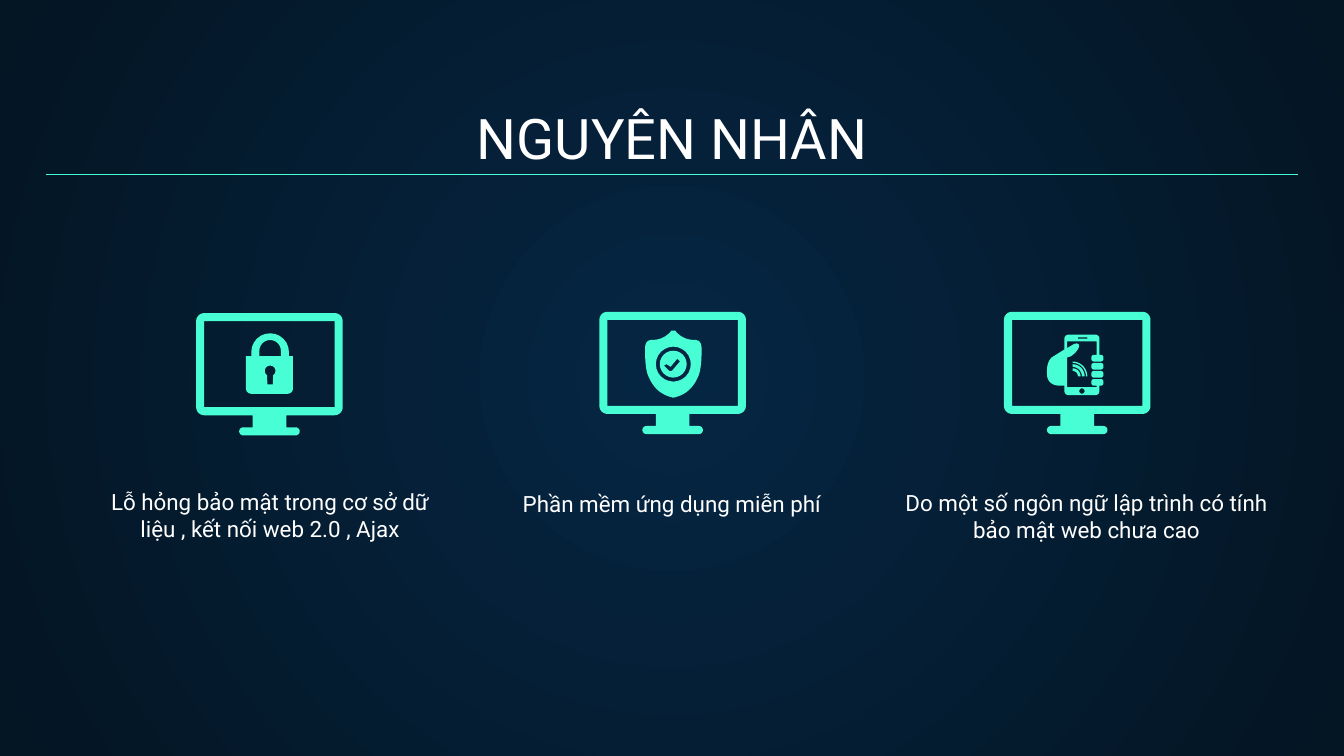
from math import cos, radians, sin

from pptx import Presentation
from pptx.dml.color import RGBColor
from pptx.enum.shapes import MSO_CONNECTOR
from pptx.enum.text import MSO_ANCHOR, MSO_AUTO_SIZE, PP_ALIGN
from pptx.oxml import parse_xml
from pptx.oxml.ns import nsdecls, qn
from pptx.util import Inches, Pt

MINT = "48FFD5"
WHITE = "FFFFFF"
FONT = "Roboto"
STEPS = 12


def colour(value):
    """Turn a hex string into a colour."""
    return RGBColor.from_string(value)


def arc(x, y, radius, start, end):
    """List points on an arc, with angles clockwise from the right."""
    angles = [radians(start + (end - start) * i / STEPS) for i in range(STEPS + 1)]
    return [(x + radius * cos(a), y + radius * sin(a)) for a in angles]


def circle(x, y, radius):
    """List the points of a full circle."""
    return arc(x, y, radius, 0, 180) + arc(x, y, radius, 180, 360)


def curve(*controls):
    """List points on a cubic curve through four control points."""
    points = []
    for i in range(STEPS + 1):
        t = i / STEPS
        weights = ((1 - t) ** 3, 3 * t * (1 - t) ** 2, 3 * t * t * (1 - t), t ** 3)
        points.append(tuple(sum(w * c[axis] for w, c in zip(weights, controls)) for axis in (0, 1)))
    return points


def rounded(left, top, right, bottom, radius):
    """List the points of a rectangle with round corners."""
    return (
        arc(left + radius, top + radius, radius, 180, 270)
        + arc(right - radius, top + radius, radius, 270, 360)
        + arc(right - radius, bottom - radius, radius, 0, 90)
        + arc(left + radius, bottom - radius, radius, 90, 180)
    )


def monitor():
    """Outline a screen on a stand."""
    body = (
        arc(0.06, 0.06, 0.06, 180, 270)
        + arc(1.03, 0.06, 0.06, 270, 360)
        + arc(1.03, 0.70, 0.06, 0, 90)
        + [(0.67, 0.76), (0.67, 0.85)]
        + arc(0.74, 0.88, 0.03, -90, 90)
        + arc(0.35, 0.88, 0.03, 90, 270)
        + [(0.42, 0.85), (0.42, 0.76)]
        + arc(0.06, 0.70, 0.06, 90, 180)
    )
    return [body, [(0.06, 0.06), (1.03, 0.06), (1.03, 0.70), (0.06, 0.70)]]


def padlock():
    """Outline a padlock with a keyhole."""
    body = (
        [(0.37, 0.32), (0.41, 0.32)]
        + arc(0.55, 0.29, 0.14, 180, 360)
        + [(0.69, 0.32), (0.72, 0.32)]
        + arc(0.68, 0.56, 0.04, 0, 90)
        + arc(0.41, 0.56, 0.04, 90, 180)
    )
    opening = arc(0.55, 0.28, 0.08, 180, 360) + [(0.63, 0.32), (0.47, 0.32)]
    keyhole = arc(0.55, 0.43, 0.04, 125, 415) + [(0.57, 0.53), (0.53, 0.53)]
    return [body, opening, keyhole]


def shield():
    """Outline a shield with a round opening."""
    right = (
        curve((0.55, 0.14), (0.56, 0.14), (0.57, 0.14), (0.57, 0.15))
        + curve((0.57, 0.15), (0.61, 0.19), (0.65, 0.21), (0.71, 0.21))
        + curve((0.71, 0.21), (0.74, 0.21), (0.76, 0.23), (0.76, 0.27))
        + curve((0.76, 0.28), (0.76, 0.33), (0.76, 0.41), (0.74, 0.47))
        + curve((0.74, 0.47), (0.70, 0.57), (0.64, 0.62), (0.55, 0.64))
    )
    left = [(1.1 - x, y) for x, y in reversed(right)]
    return [right + left, circle(0.55, 0.39, 0.13)]


def check_badge():
    """Outline a disc with a check mark cut out."""
    check = [(0.48, 0.40), (0.50, 0.39), (0.53, 0.41), (0.58, 0.35),
             (0.60, 0.37), (0.54, 0.44), (0.52, 0.44)]
    return [circle(0.55, 0.39, 0.1), check]


def phone_in_hand():
    """Outline a hand that holds a phone with signal waves."""
    body = (
        [(0.71, 0.32)]
        + arc(0.68, 0.20, 0.03, 0, -90)
        + arc(0.48, 0.20, 0.03, 270, 180)
        + [(0.45, 0.28)]
        + curve((0.37, 0.33), (0.35, 0.34), (0.32, 0.37), (0.32, 0.44))
        + curve((0.32, 0.46), (0.32, 0.53), (0.37, 0.55), (0.42, 0.55))
        + [(0.45, 0.55)]
        + arc(0.48, 0.59, 0.03, 180, 90)
        + arc(0.68, 0.59, 0.03, 90, 0)
        + [(0.71, 0.55), (0.69, 0.55), (0.69, 0.56), (0.47, 0.56), (0.47, 0.34)]
        + curve((0.50, 0.33), (0.58, 0.27), (0.57, 0.22), (0.52, 0.24))
        + [(0.47, 0.27), (0.47, 0.22), (0.69, 0.22), (0.69, 0.32)]
    )
    holes = [[(0.55, 0.19), (0.62, 0.19), (0.62, 0.20), (0.55, 0.20)], circle(0.58, 0.59, 0.02)]
    fingers = [rounded(0.65, top, 0.74, top + 0.05, 0.02) for top in (0.32, 0.38, 0.44, 0.50)]
    waves = [
        arc(0.51, 0.48, outer, -90, 0) + arc(0.51, 0.48, inner, 0, -90)
        for outer, inner in ((0.11, 0.10), (0.09, 0.07), (0.06, 0.04))
    ]
    return [body] + holes + fingers + waves


def add_outline(page, left, top, contours):
    """Draw contours as one mint shape, where inner contours are holes."""
    placed = [[(Inches(left + x), Inches(top + y)) for x, y in points] for points in contours]
    builder = page.shapes.build_freeform(*placed[0][0], scale=1.0)
    builder.add_line_segments(placed[0][1:], close=True)
    for points in placed[1:]:
        builder.move_to(*points[0])
        builder.add_line_segments(points[1:], close=True)
    shape = builder.convert_to_shape()
    shape.shadow.inherit = False
    shape.fill.solid()
    shape.fill.fore_color.rgb = colour(MINT)
    shape.line.fill.background()


def set_text(box, place, text, size):
    """Place a box and write centred white text at its bottom."""
    box.left, box.top, box.width, box.height = [Inches(value) for value in place]
    frame = box.text_frame
    frame.word_wrap = True
    frame.auto_size = MSO_AUTO_SIZE.NONE
    frame.vertical_anchor = MSO_ANCHOR.BOTTOM
    frame.margin_left = frame.margin_right = Inches(0.1)
    frame.margin_top = frame.margin_bottom = Inches(0.1)
    paragraph = frame.paragraphs[0]
    paragraph.text = text
    paragraph.alignment = PP_ALIGN.CENTER
    paragraph.font.name = FONT
    paragraph.font.size = Pt(size)
    paragraph.font.color.rgb = colour(WHITE)


def set_background(page, centre, edge):
    """Fill the page with a round gradient."""
    fill = page.background.fill
    fill.gradient()
    for stop, value in zip(fill.gradient_stops, (centre, edge)):
        stop.color.rgb = colour(value)
    gradient = page.element.find(".//" + qn("a:gradFill"))
    gradient.replace(gradient.find(qn("a:lin")), parse_xml(
        f'<a:path {nsdecls("a")} path="circle">'
        '<a:fillToRect l="50000" t="50000" r="50000" b="50000"/></a:path>'))


def add_rule(page, left, right, top):
    """Draw a thin mint line across the page."""
    rule = page.shapes.add_connector(
        MSO_CONNECTOR.STRAIGHT, Inches(left), Inches(top), Inches(right), Inches(top))
    rule.line.color.rgb = colour(MINT)
    rule.line.width = Pt(0.75)
    rule.element.spPr.append(parse_xml(f'<a:effectLst {nsdecls("a")}/>'))


def main():
    """Build the slide and save it."""
    deck = Presentation()
    deck.slide_width, deck.slide_height = Inches(10), Inches(10 * 9 / 16)
    page = deck.slides.add_slide(deck.slide_layouts[5])
    set_background(page, "052643", "041523")
    set_text(page.shapes.title, (0.34, 0.71, 9.32, 0.66), "NGUYÊN NHÂN", 30)
    causes = [
        ("Lỗ hỏng bảo mật trong cơ sở dữ liệu , kết nối web 2.0 , Ajax",
         (0.72, 3.64, 2.58, 0.49), (1.46, 2.33), [padlock()]),
        ("Phần mềm ứng dụng miễn phí",
         (3.71, 3.74, 2.58, 0.21), (4.46, 2.32), [check_badge(), shield()]),
        ("Do một số ngôn ngữ lập trình có tính bảo mật web chưa cao",
         (6.61, 3.48, 2.95, 0.66), (7.47, 2.32), [phone_in_hand()]),
    ]
    for text, place, corner, symbols in causes:
        set_text(page.shapes.add_textbox(0, 0, 0, 0), place, text, 12)
        for contours in [monitor()] + symbols:
            add_outline(page, *corner, contours)
    add_rule(page, 0.34, 9.66, 1.3)
    deck.save("out.pptx")


if __name__ == "__main__":
    main()
